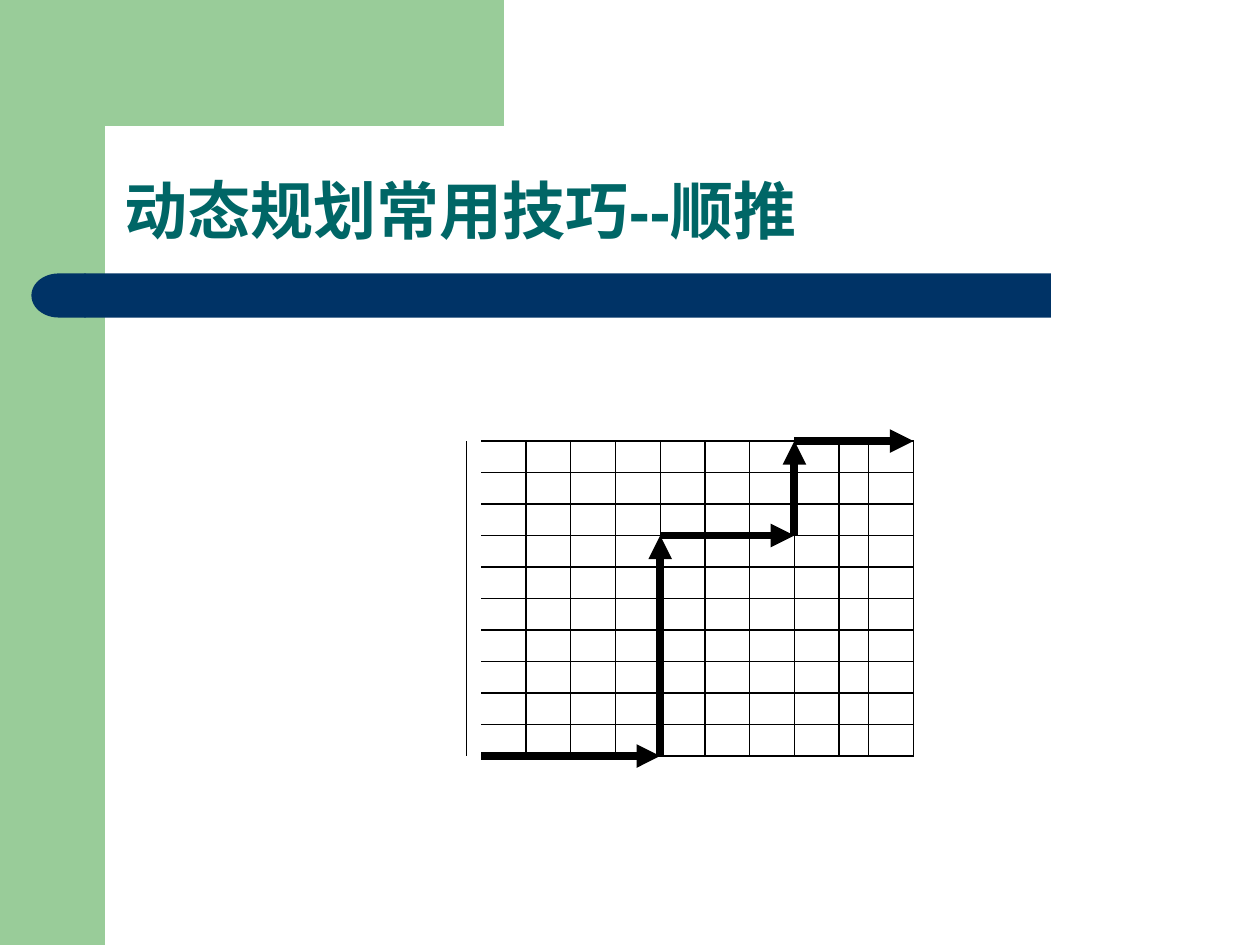
from math import cos, pi, sin

from pptx import Presentation
from pptx.dml.color import RGBColor
from pptx.enum.shapes import MSO_CONNECTOR as Conn, MSO_SHAPE as Shape
from pptx.enum.text import MSO_ANCHOR as Anchor, MSO_AUTO_SIZE as Fit, PP_ALIGN as Align
from pptx.oxml.ns import qn
from pptx.util import Inches, Pt
from lxml.etree import SubElement

WIDE, HIGH = 10, 7.5
GREEN, NAVY, TEAL, BLACK = "99CC99", "003366", "006666", "000000"


def color(code):
    return RGBColor.from_string(code)


def place(item, box):
    item.left, item.top, item.width, item.height = map(Inches, box)


def paint(item, code):
    item.shadow.inherit = False
    item.fill.solid()
    item.fill.fore_color.rgb = color(code)
    item.line.fill.background()


def block(shapes, kind, box, code):
    item = shapes.add_shape(kind, *map(Inches, box))
    paint(item, code)
    return item


def write(item, text, size, code, bold=False, font="Arial", space=1.0):
    frame = item.text_frame
    frame.word_wrap = True
    frame.auto_size = Fit.NONE
    frame.vertical_anchor = Anchor.BOTTOM
    para = frame.paragraphs[0]
    para.alignment = Align.LEFT
    para.line_spacing = space
    run = para.add_run()
    run.text = text
    run.font.name, run.font.size, run.font.bold = font, Pt(size), bold
    run.font.color.rgb = color(code)


def line(shapes, start, end, width=0.75, arrow=False):
    item = shapes.add_connector(Conn.STRAIGHT, *map(Inches, (*start, *end)))
    item.line.color.rgb = color(BLACK)
    item.line.width = Pt(width)
    props = item._element.spPr
    if arrow:
        SubElement(props.find(qn("a:ln")), qn("a:tailEnd"), type="triangle")
    SubElement(props, qn("a:effectLst"))


def corner(shapes, box, side, radius):
    """Fill the box as an L whose inner bend is rounded."""
    left, top, width, height = box
    right, foot = left + width, top + height
    inner, under = left + side, top + 0.83
    mid_x, mid_y = inner + radius, under + radius
    steps = 16
    turns = [pi / 2 * (1 + n / steps) for n in range(steps + 1)]
    bend = [(mid_x + radius * cos(t), mid_y - radius * sin(t)) for t in turns]
    points = [(right, top), (right, under), *bend, (inner, foot), (left, foot), (left, top)]
    pen = shapes.build_freeform(*points[0], scale=Inches(1))
    pen.add_line_segments(points[1:], close=True)
    paint(pen.convert_to_shape(), code=GREEN)


def frame(shapes):
    block(shapes, Shape.RECTANGLE, (0, 0, WIDE / 12, HIGH), GREEN)
    corner(shapes, (0.5, 0, 3, 1.28), 0.33, 0.33)
    bar = block(shapes, Shape.ROUNDED_RECTANGLE, (0.67, 2.17, 7.67, 0.35), NAVY)
    bar.adjustments[0] = 0
    cap = block(shapes, Shape.FLOWCHART_DELAY, (0.25, 2.17, 0.43, 0.35), NAVY)
    cap._element.spPr.find(qn("a:xfrm")).set("flipH", "1")


def lattice(shapes, box):
    """Draw the grid and the stepped route of arrows over it."""
    left, top, width, height = box
    right, foot = left + width, top + height
    col, row = 0.355, height / 10
    for n in range(11):
        line(shapes, (left, top + n * row), (right, top + n * row))
    edges = [left + n * col for n in range(1, 9)]
    for x in [left - col / 3, *edges, right - col, right]:
        line(shapes, (x, top), (x, foot))
    route = [(0, 10), (4, 10), (4, 3), (7, 3), (7, 0)]
    stops = [(left + c * col, top + r * row) for c, r in route] + [(right, top)]
    for start, end in zip(stops, stops[1:]):
        line(shapes, start, end, width=4.5, arrow=True)


def main():
    deck = Presentation()
    deck.slide_width, deck.slide_height = Inches(WIDE), Inches(HIGH)
    slide = deck.slides.add_slide(deck.slide_layouts[5])
    frame(slide.shapes)
    title = slide.shapes.title
    place(title, (0.89, 0.89, 8.54, 1.13))
    write(title, "动态规划常用技巧--顺推", 36, TEAL, bold=True, space=0.9)
    lattice(slide.shapes.add_group_shape().shapes, (3.82, 3.5, 3.43, 2.5))
    deck.save("out.pptx")


if __name__ == "__main__":
    main()
